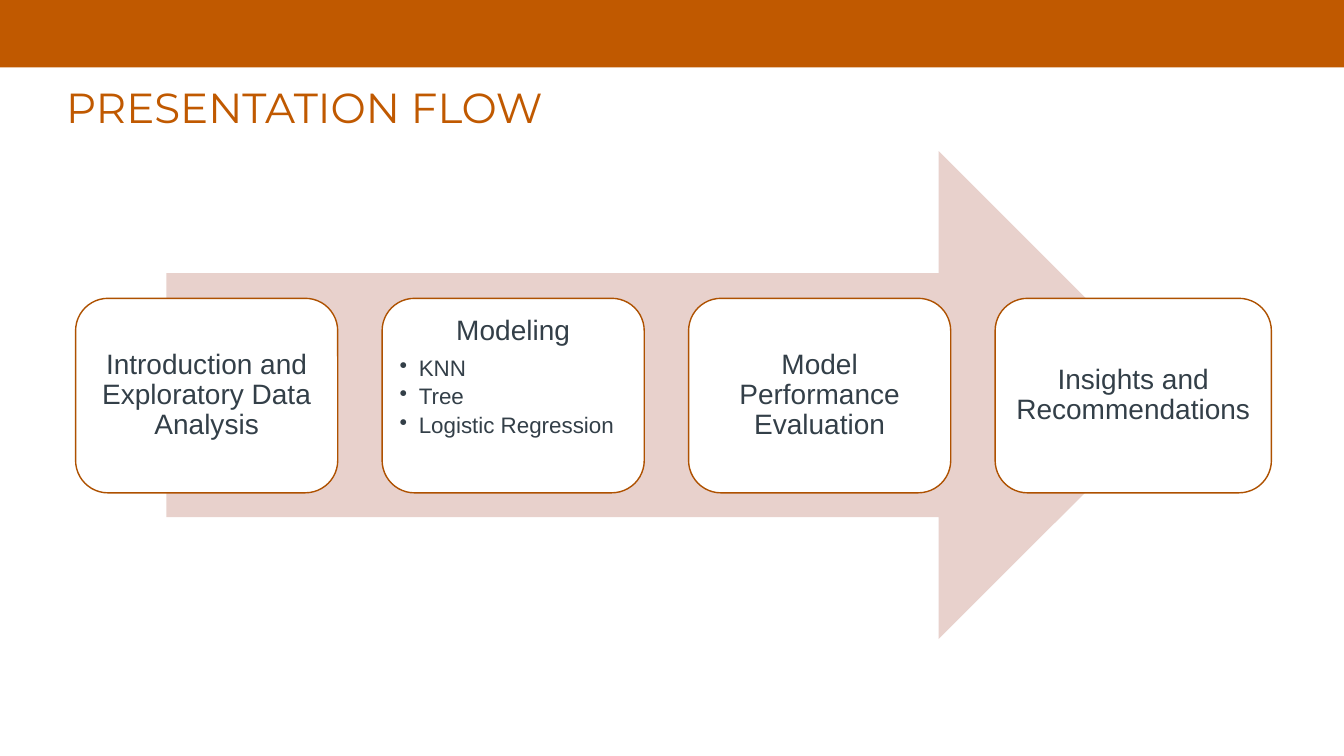
from pptx import Presentation
from pptx.dml.color import RGBColor
from pptx.enum.shapes import MSO_SHAPE
from pptx.enum.text import MSO_ANCHOR, PP_ALIGN
from pptx.oxml.ns import qn
from pptx.util import Inches, Pt
from lxml.etree import SubElement

# Content: heading, bullets, box width
TITLE = "PRESENTATION FLOW"
STEPS = [
    ("Introduction and Exploratory Data Analysis", [], 2.6),
    ("Modeling", ["KNN", "Tree", "Logistic Regression"], 2.6),
    ("Model Performance Evaluation", [], 2.6),
    ("Insights and Recommendations", [], 2.74),
]
ORANGE, OUTLINE, PINK, WHITE, SLATE = "C05900", "AE5100", "E8D1CC", "FFFFFF", "333F48"
STEP_LEFT, STEP_TOP, STEP_HEIGHT, STEP_GAP = 0.75, 2.96, 1.93, 0.44


def color(value):
    return RGBColor.from_string(value)


def add_block(kind, left, top, width, height, fill, outline=None):
    shape = page.shapes.add_shape(
        kind, Inches(left), Inches(top), Inches(width), Inches(height))
    shape.shadow.inherit = False
    shape.fill.solid()
    shape.fill.fore_color.rgb = color(fill)
    if outline:
        shape.line.color.rgb = color(outline)
        shape.line.width = Pt(1)
    else:
        shape.line.fill.background()
    return shape


def format_para(para, font, size, text_color, align=PP_ALIGN.CENTER):
    para.alignment = align
    para.line_spacing = 0.9
    for span in para.runs:
        span.font.name = font
        span.font.size = Pt(size)
        span.font.color.rgb = color(text_color)


def add_bullet(para):
    properties = para._p.get_or_add_pPr()
    properties.set("marL", str(Inches(0.19)))
    properties.set("indent", str(-Inches(0.19)))
    SubElement(properties, qn("a:buChar")).set("char", "•")


def set_margins(frame, margin):
    frame.margin_left = frame.margin_right = Inches(margin)
    frame.margin_top = frame.margin_bottom = Inches(margin)


deck = Presentation()
deck.slide_width, deck.slide_height = Inches(13.33), Inches(7.5)
page = deck.slides.add_slide(deck.slide_layouts[6])

# Top band and title
add_block(MSO_SHAPE.RECTANGLE, 0, 0, 13.33, 0.67, ORANGE)
title = page.shapes.add_textbox(Inches(0.14), Inches(0.37), Inches(5.76), Inches(1.45))
title.text_frame.word_wrap = True
title.text_frame.vertical_anchor = MSO_ANCHOR.MIDDLE
title.text_frame.text = TITLE
format_para(title.text_frame.paragraphs[0], "Montserrat", 30, ORANGE)

# Arrow behind the steps
add_block(MSO_SHAPE.RIGHT_ARROW, 1.65, 1.5, 10.08, 4.84, PINK)

# Step boxes, left to right
left = STEP_LEFT
for heading, bullets, width in STEPS:
    box = add_block(MSO_SHAPE.ROUNDED_RECTANGLE, left, STEP_TOP, width,
                    STEP_HEIGHT, WHITE, OUTLINE)
    frame = box.text_frame
    frame.word_wrap = True
    set_margins(frame, 0.08)
    frame.vertical_anchor = MSO_ANCHOR.TOP if bullets else MSO_ANCHOR.MIDDLE
    frame.text = heading
    format_para(frame.paragraphs[0], "Arial", 20, SLATE)
    if bullets:
        frame.paragraphs[0].space_after = Pt(8)
    for bullet in bullets:
        para = frame.add_paragraph()
        para.text = bullet
        format_para(para, "Arial", 16, SLATE, PP_ALIGN.LEFT)
        para.space_after = Pt(3)
        add_bullet(para)
    left += width + STEP_GAP

deck.save("out.pptx")
